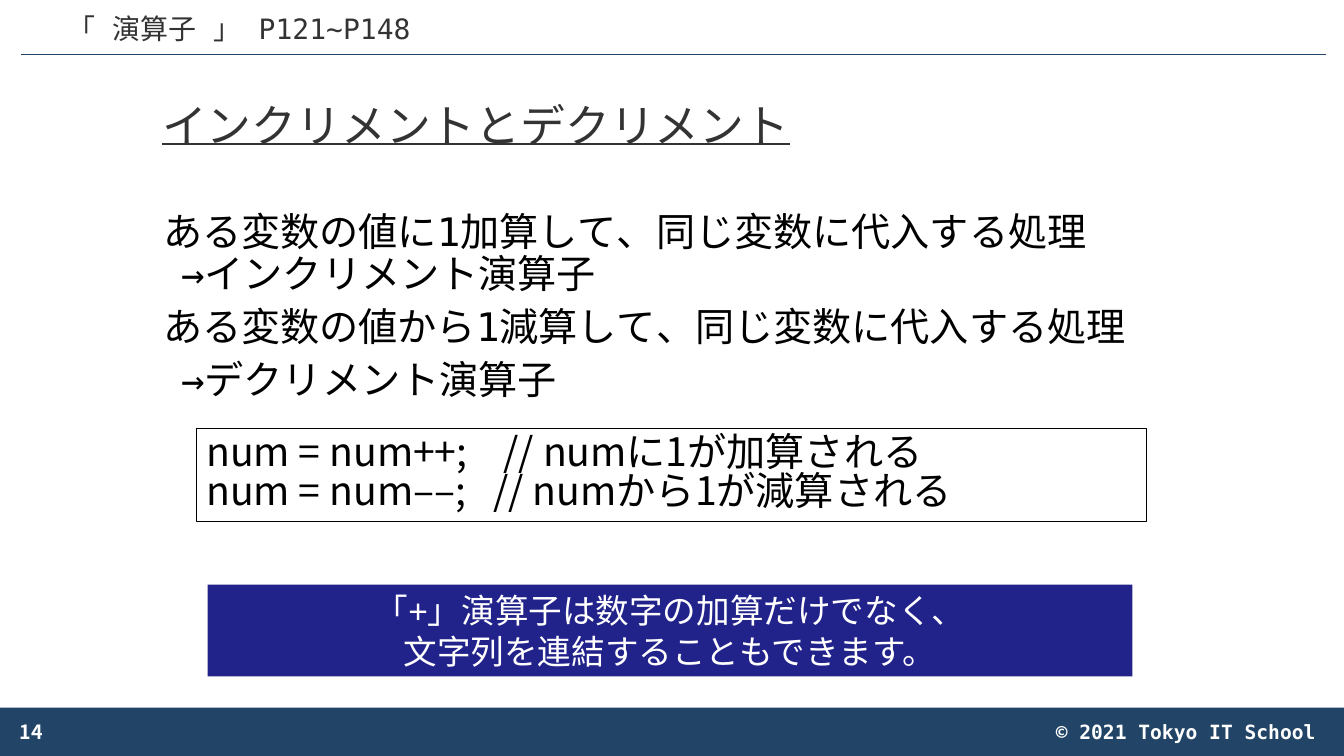
from lxml.etree import SubElement
from pptx import Presentation
from pptx.dml.color import RGBColor
from pptx.enum.shapes import MSO_CONNECTOR, MSO_SHAPE
from pptx.enum.text import MSO_ANCHOR, PP_ALIGN
from pptx.oxml.ns import qn
from pptx.util import Inches, Pt

COLORS = {"band": "224466", "banner": "22228B", "heading": "333333",
          "black": "000000", "white": "FFFFFF"}
MONO, GOTHIC, ARIAL = "DejaVu Sans Mono", "Noto Sans CJK JP", "Arial"

HEADER = "「 演算子 」 P121~P148"
TITLE = "インクリメントとデクリメント"
# (text, left margin, first-line indent) in inches
EXPLANATION = [
    ("ある変数の値に1加算して、同じ変数に代入する処理\v→インクリメント演算子", 0.19, -0.18),
    ("ある変数の値から1減算して、同じ変数に代入する処理", 0.19, -0.18),
    ("→デクリメント演算子", 0.19, 0),
]
# (text, comment position) in inches
CODE = [
    ("num = num++;\t// numに1が加算される", 2.95),
    ("num = num––;\t// numから1が減算される", 2.85),
]
BANNER = ["「+」演算子は数字の加算だけでなく、", "文字列を連結することもできます。"]
PAGE_NUMBER = "14"
COPYRIGHT = "© 2021 Tokyo IT School"


def rgb(name):
    return RGBColor.from_string(COLORS[name])


def place(shape, box):
    shape.left, shape.top, shape.width, shape.height = map(Inches, box)


def write(shape, lines, font, size, color, align=PP_ALIGN.LEFT,
          anchor=MSO_ANCHOR.MIDDLE, spacing=None, bold=False, underline=False):
    """Fill a shape with one paragraph per line and return the paragraphs."""
    frame = shape.text_frame
    frame.text = "\n".join(lines)
    frame.word_wrap = True
    frame.vertical_anchor = anchor
    for paragraph in frame.paragraphs:
        paragraph.alignment = align
        paragraph.line_spacing = spacing
        for run in paragraph.runs:
            run.font.name = font
            run.font.size = Pt(size)
            run.font.bold = bold
            run.font.underline = underline
            run.font.color.rgb = rgb(color)
            SubElement(run.font._element, qn("a:ea"), typeface=font)
    return frame.paragraphs


def add_rectangle(slide, box, fill=None, line=None):
    rectangle = slide.shapes.add_shape(MSO_SHAPE.RECTANGLE, *map(Inches, box))
    rectangle.shadow.inherit = False
    if fill:
        rectangle.fill.solid()
        rectangle.fill.fore_color.rgb = rgb(fill)
    else:
        rectangle.fill.background()
    if line:
        rectangle.line.color.rgb = rgb(line)
        rectangle.line.width = Pt(0.75)
    else:
        rectangle.line.fill.background()
    return rectangle


def add_text(slide, box, lines, *args, **options):
    textbox = slide.shapes.add_textbox(*map(Inches, box))
    return write(textbox, lines, *args, **options)


def add_frame(slide):
    """Add the header, its rule and the footer band."""
    add_rectangle(slide, (0, 7.02, 13.34, 0.48), fill="band")
    add_text(slide, (8.34, 7.09, 4.82, 0.34), [COPYRIGHT], MONO, 14, "white",
             align=PP_ALIGN.RIGHT, anchor=MSO_ANCHOR.TOP, bold=True)
    add_text(slide, (0.1, 7.06, 3, 0.4), [PAGE_NUMBER], GOTHIC, 14, "white", bold=True)
    rule = slide.shapes.add_connector(
        MSO_CONNECTOR.STRAIGHT, *map(Inches, (0.21, 0.54, 13.16, 0.54)))
    rule.line.color.rgb = rgb("band")
    rule.line.width = Pt(0.5)
    SubElement(rule._element.spPr, qn("a:effectLst"))
    add_text(slide, (0, -0.04, 4.75, 0.54), [HEADER], MONO, 20, "heading",
             align=PP_ALIGN.CENTER, anchor=MSO_ANCHOR.BOTTOM, spacing=0.9)


def add_explanation(slide):
    paragraphs = add_text(slide, (1.51, 2.06, 10.32, 2.1),
                          [text for text, _, _ in EXPLANATION], MONO, 28, "black",
                          anchor=MSO_ANCHOR.TOP, spacing=0.9)
    for index, (paragraph, (_, margin, indent)) in enumerate(zip(paragraphs, EXPLANATION)):
        properties = paragraph._p.get_or_add_pPr()
        properties.set("marL", str(Inches(margin)))
        properties.set("indent", str(Inches(indent)))
        if index:
            paragraph.space_before = Pt(7.5)


def add_code(slide):
    code_box = add_rectangle(slide, (1.95, 4.25, 9.43, 0.92), line="black")
    paragraphs = write(code_box, [text for text, _ in CODE], GOTHIC, 28, "black",
                       spacing=Pt(27.8))
    for paragraph, (_, comment_at) in zip(paragraphs, CODE):
        tabs = SubElement(paragraph._p.get_or_add_pPr(), qn("a:tabLst"))
        SubElement(tabs, qn("a:tab"), pos=str(Inches(comment_at)), algn="l")


def main():
    prs = Presentation()
    prs.slide_width, prs.slide_height = Inches(13.34), Inches(7.5)
    slide = prs.slides.add_slide(prs.slide_layouts[5])
    add_frame(slide)
    title = slide.shapes.title
    place(title, (1.51, 0.68, 10.32, 1.17))
    write(title, [TITLE], MONO, 32, "heading", spacing=0.9, underline=True)
    add_explanation(slide)
    add_code(slide)
    banner = add_rectangle(slide, (2.06, 5.8, 9.18, 0.91), fill="banner")
    write(banner, BANNER, ARIAL, 24, "white", align=PP_ALIGN.CENTER)
    prs.save("out.pptx")


if __name__ == "__main__":
    main()
